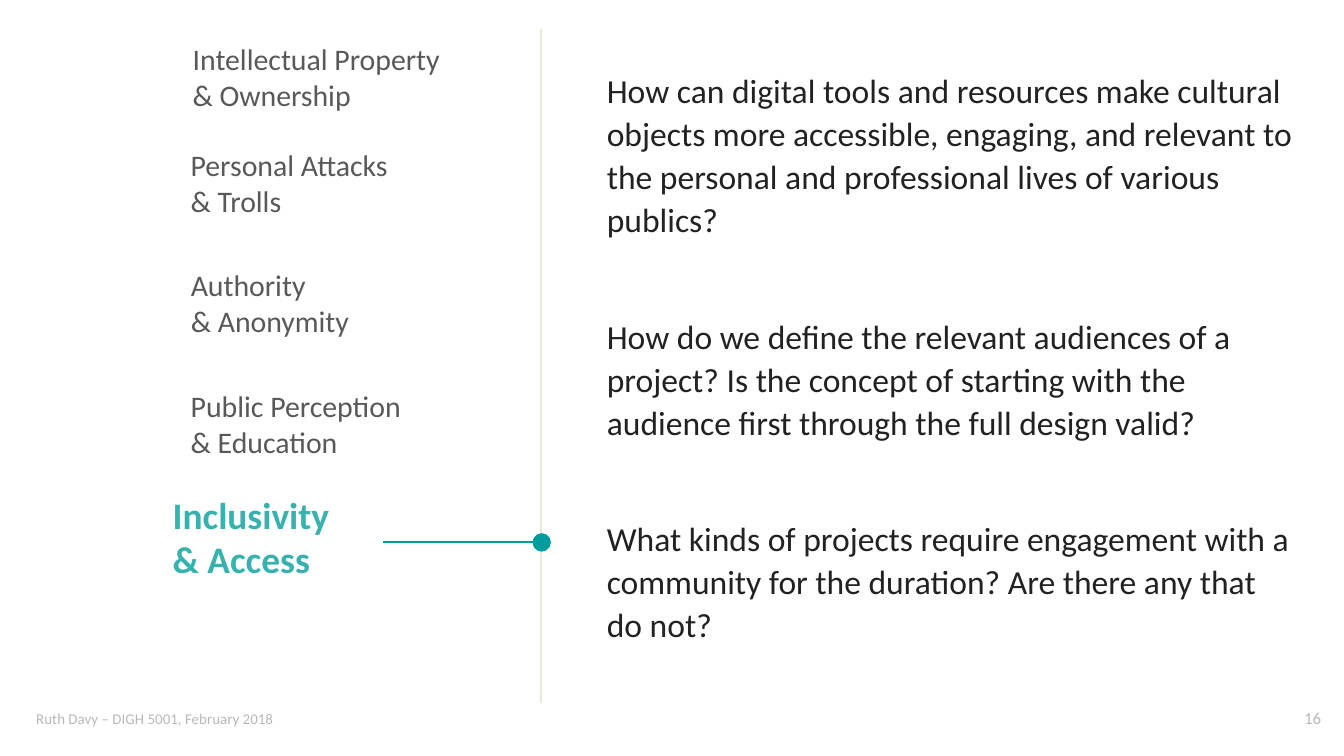
"""Build the Inclusivity & Access discussion slide."""
from lxml import etree
from pptx import Presentation
from pptx.dml.color import RGBColor
from pptx.enum.shapes import MSO_CONNECTOR
from pptx.enum.text import MSO_ANCHOR as ANCHOR, MSO_AUTO_SIZE as FIT, PP_ALIGN as ALIGN
from pptx.oxml.ns import qn
from pptx.util import Pt

FONT, GREY, PALE, INK, AQUA, TEAL, SAND = (
    "Calibri", "58595B", "B7B9BA", "222223", "37B2AF", "009D9C", "EAE8D7")

TOPICS = [
    (["Intellectual Property", "& Ownership"], (103.2, 21.8, 138.2, 38.9)),
    (["Personal Attacks", "& Trolls"], (102.2, 78.6, 110.9, 38.9)),
    (["Authority", "& Anonymity"], (102.2, 142.8, 90, 38.9)),
    (["Public Perception", "& Education"], (102.2, 207.6, 116, 38.9)),
]
CURRENT = (["Inclusivity", "& Access"], (92.5, 263.5, 96, 48.2))
QUESTIONS = [
    "How can digital tools and resources make cultural objects more accessible, engaging, "
    "and relevant to the personal and professional lives of various publics?",
    "How do we define the relevant audiences of a project? Is the concept of starting with "
    "the audience first through the full design valid?",
    "What kinds of projects require engagement with a community for the duration? "
    "Are there any that do not?",
]
FOOTER = ("Ruth Davy – DIGH 5001, February 2018", (19.44, 376.56, 54.72, 12.96))
NUMBER = ("16", (693.1, 380.88, 20.16, 9.36))
AXIS_X, POINTER_Y = 289.8, 290.6


def rgb(value):
    """Turn a hex string into a colour."""
    return RGBColor.from_string(value)


def add_text(s, lines, box, size, color, bold=False, wrap=False, inset=(0, 0),
             anchor=ANCHOR.TOP, fit=FIT.SHAPE_TO_FIT_TEXT, align=ALIGN.LEFT,
             spacing=1.0, gap=0):
    """Add a text box with one paragraph per line."""
    tf = s.shapes.add_textbox(*map(Pt, box)).text_frame
    tf.word_wrap, tf.auto_size, tf.vertical_anchor = wrap, fit, anchor
    tf.margin_left = tf.margin_right = Pt(inset[0])
    tf.margin_top = tf.margin_bottom = Pt(inset[1])
    for i, line in enumerate(lines):
        p = tf.add_paragraph() if i else tf.paragraphs[0]
        p.alignment, p.line_spacing = align, spacing
        p.space_before = Pt(gap if i else 0)
        r = p.add_run()
        r.text = line
        r.font.name, r.font.size, r.font.bold = FONT, Pt(size), bold
        r.font.color.rgb = rgb(color)


def add_line(s, start, end, color, dot=False):
    """Add a thin straight line, with a round end if asked."""
    c = s.shapes.add_connector(MSO_CONNECTOR.STRAIGHT, *map(Pt, start + end))
    c.line.width = Pt(1)
    c.line.color.rgb = rgb(color)
    if dot:
        etree.SubElement(c.line._get_or_add_ln(), qn("a:tailEnd"),
                         type="oval", w="lg", len="lg")
    etree.SubElement(c._element.spPr, qn("a:effectLst"))


def main():
    """Compose and save the slide."""
    prs = Presentation()
    prs.slide_width, prs.slide_height = Pt(720), Pt(405)
    s = prs.slides.add_slide(prs.slide_layouts[6])

    for (text, box), size, align in ((FOOTER, 8, ALIGN.LEFT), (NUMBER, 9, ALIGN.CENTER)):
        add_text(s, [text], box, size, PALE, anchor=ANCHOR.BOTTOM, fit=FIT.NONE,
                 align=align, spacing=0.85)
    for lines, box in TOPICS:
        add_text(s, lines, box, 16, GREY)
    add_text(s, *CURRENT, 20, AQUA, bold=True)

    add_line(s, (AXIS_X, 376.6), (AXIS_X, 15.8), SAND)
    add_line(s, (205.2, POINTER_Y), (AXIS_X + 0.4, POINTER_Y), TEAL, dot=True)
    add_text(s, QUESTIONS, (318, 32.4, 384, 319.7), 18, INK, wrap=True,
             inset=(7.2, 3.6), spacing=1.07, gap=39.2)
    prs.save("out.pptx")


if __name__ == "__main__":
    main()
